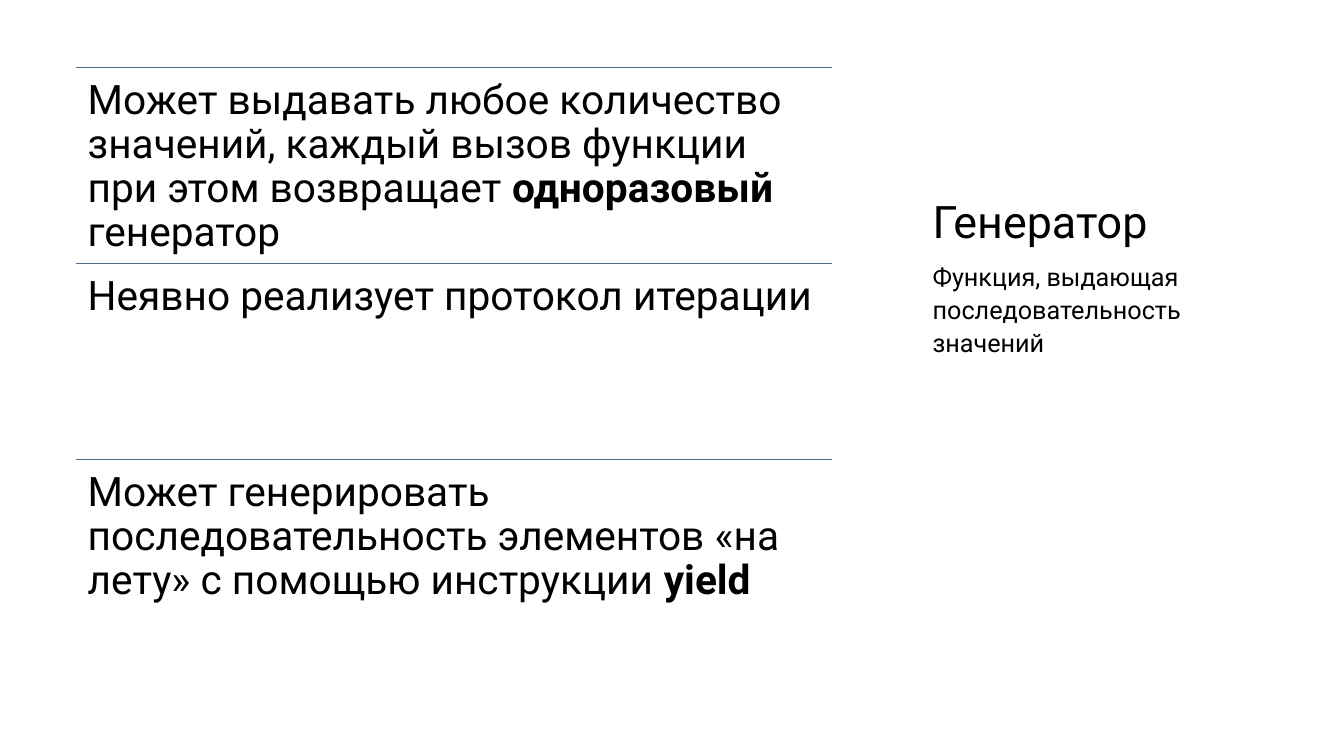
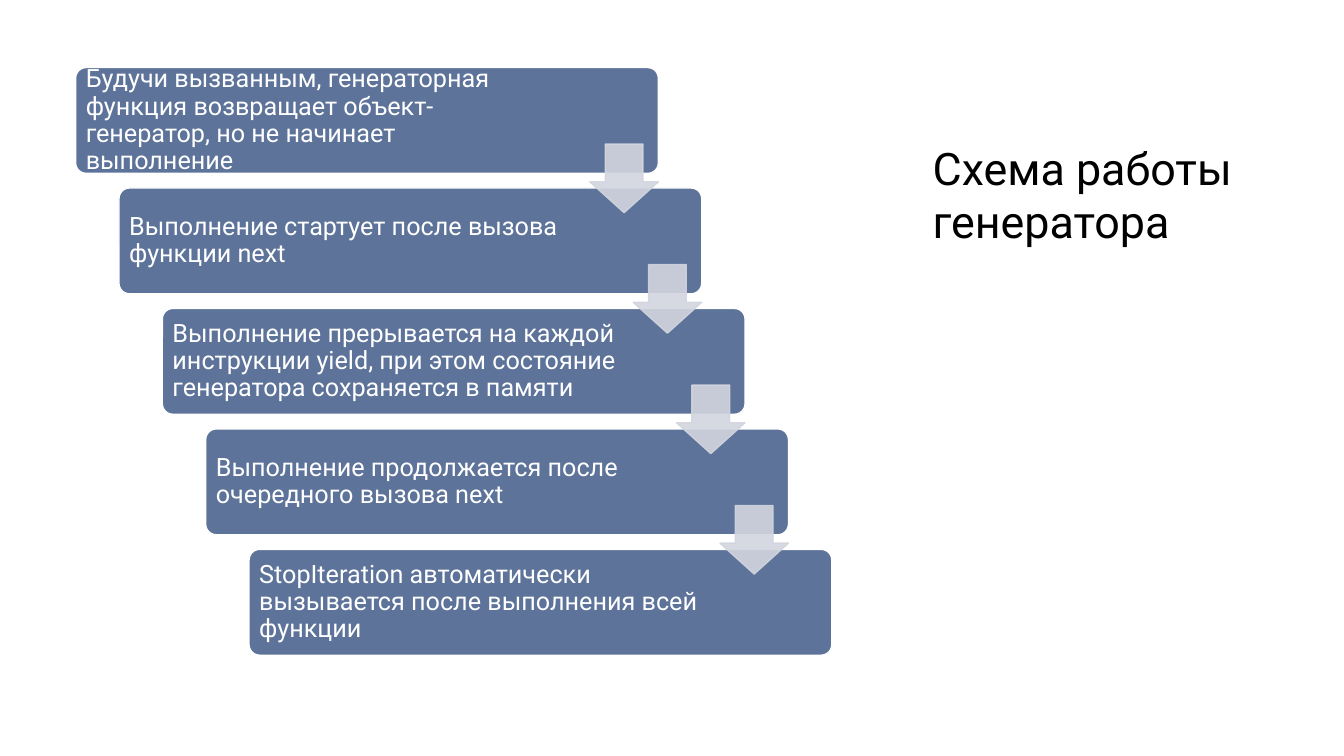
from lxml import etree
from pptx import Presentation
from pptx.dml.color import RGBColor
from pptx.enum.shapes import MSO_CONNECTOR, MSO_SHAPE
from pptx.enum.text import MSO_ANCHOR, MSO_AUTO_SIZE, PP_ALIGN
from pptx.oxml.ns import qn
from pptx.util import Inches, Pt

STRAIGHT = MSO_CONNECTOR.STRAIGHT
ROUND_RECT, DOWN_ARROW = MSO_SHAPE.ROUNDED_RECTANGLE, MSO_SHAPE.DOWN_ARROW
TOP, MIDDLE, BOTTOM = MSO_ANCHOR.TOP, MSO_ANCHOR.MIDDLE, MSO_ANCHOR.BOTTOM
LEFT, NO_FIT = PP_ALIGN.LEFT, MSO_AUTO_SIZE.NONE

FONT = "Roboto"
BLACK, WHITE, RULE, BOX, ARROW = "000000", "FFFFFF", "54688C", "5D739A", "D2D5DE"

# Main area on the left, heading column on the right (inches)
X, Y, W, H = 0.75, 0.67, 7.5, 5.83
SIDE_X, SIDE_W = 9.25, 3.46
TITLE_Y, TITLE_H = 0.66, 1.8
BODY_Y, BODY_H = 2.56, 3.94


def rgb(value):
    return RGBColor.from_string(value)


def write(sp, runs, size, color, margin, anchor, spacing=1.0):
    """Fill sp with one left-aligned paragraph of (text, bold) runs."""
    tf = sp.text_frame
    tf.word_wrap, tf.auto_size, tf.vertical_anchor = True, NO_FIT, anchor
    tf.margin_left = tf.margin_top = tf.margin_right = tf.margin_bottom = Inches(margin)
    p = tf.paragraphs[0]
    p.alignment, p.line_spacing = LEFT, spacing
    for text, bold in runs:
        r = p.add_run()
        r.text = text
        r.font.name, r.font.size, r.font.bold = FONT, Pt(size), bold
        r.font.color.rgb = rgb(color)
    return p


prs = Presentation()
prs.slide_width, prs.slide_height = Inches(13.33), Inches(7.5)
title_and_body, title_only = prs.slide_layouts[1], prs.slide_layouts[5]

slides = []
for layout, heading in [(title_and_body, "Генератор"),
                        (title_only, "Схема работы генератора")]:
    slide = prs.slides.add_slide(layout)
    title = slide.shapes.title
    title.left, title.top = Inches(SIDE_X), Inches(TITLE_Y)
    title.width, title.height = Inches(SIDE_W), Inches(TITLE_H)
    write(title, [(heading, False)], 32, BLACK, 0, BOTTOM)
    slides.append(slide)
features, scheme = slides

# Slide 1: ruled list of features
body = features.placeholders[1]
body.left, body.top = Inches(SIDE_X), Inches(BODY_Y)
body.width, body.height = Inches(SIDE_W), Inches(BODY_H)
p = write(body, [("Функция, выдающая последовательность значений", False)],
          18, BLACK, 0, TOP, 1.1)
p.space_before = Pt(8)
pPr = p._p.get_or_add_pPr()
pPr.set("marL", "0")
pPr.set("indent", "0")
etree.SubElement(pPr, qn("a:buNone"))

rows = [
    [("Может выдавать любое количество значений, каждый вызов функции "
      "при этом возвращает ", False), ("одноразовый ", True), ("генератор", False)],
    [("Неявно реализует протокол итерации", False)],
    [("Может генерировать последовательность элементов «на лету» "
      "с помощью инструкции ", False), ("yield", True)],
]
row_h = H / len(rows)
for i, runs in enumerate(rows):
    y = Inches(Y + i * row_h)
    line = features.shapes.add_connector(STRAIGHT, Inches(X), y, Inches(X + W), y)
    line.line.color.rgb, line.line.width = rgb(RULE), Pt(1)
    etree.SubElement(line._element.spPr, qn("a:effectLst"))
    sp = features.shapes.add_textbox(Inches(X), y, Inches(W), Inches(row_h))
    write(sp, runs, 29, BLACK, 0.12, TOP, 0.9)

# Slide 2: staircase of steps joined by arrows
steps = [
    "Будучи вызванным, генераторная функция возвращает объект-генератор, "
    "но не начинает выполнение",
    "Выполнение стартует после вызова функции next",
    "Выполнение прерывается на каждой инструкции yield, при этом состояние "
    "генератора сохраняется в памяти",
    "Выполнение продолжается после очередного вызова next",
    "StopIteration автоматически вызывается после выполнения всей функции",
]
BOX_W, BOX_H, ARROW_SIZE = 5.78, 1.05, 0.68
dx = (W - BOX_W) / (len(steps) - 1)
dy = (H - BOX_H) / (len(steps) - 1)

for i, text in enumerate(steps):
    sp = scheme.shapes.add_shape(ROUND_RECT, Inches(X + i * dx), Inches(Y + i * dy),
                                 Inches(BOX_W), Inches(BOX_H))
    sp.adjustments[0] = 0.1
    sp.shadow.inherit = False
    sp.fill.solid()
    sp.fill.fore_color.rgb = rgb(BOX)
    sp.line.color.rgb, sp.line.width = rgb(WHITE), Pt(1)
    write(sp, [(text, False)], 18, WHITE, 0.07, MIDDLE, 0.9)
    sp.text_frame.margin_right = Inches(1.19)

for i in range(len(steps) - 1):
    sp = scheme.shapes.add_shape(
        DOWN_ARROW, Inches(X + BOX_W - ARROW_SIZE + i * dx), Inches(1.43 + i * dy),
        Inches(ARROW_SIZE), Inches(ARROW_SIZE))
    sp.adjustments[0], sp.adjustments[1] = 0.45, 0.55
    sp.shadow.inherit = False
    sp.fill.solid()
    sp.fill.fore_color.rgb = rgb(ARROW)
    sp.line.color.rgb, sp.line.width = rgb(ARROW), Pt(1)
    for color in sp._element.spPr.iter(qn("a:srgbClr")):
        etree.SubElement(color, qn("a:alpha"), val="90000")

    # Shaft is 55 % of the width; the head takes 45 % of the height
    sp.adjustments[0], sp.adjustments[1] = 0.55, 0.45

prs.save("out.pptx")
